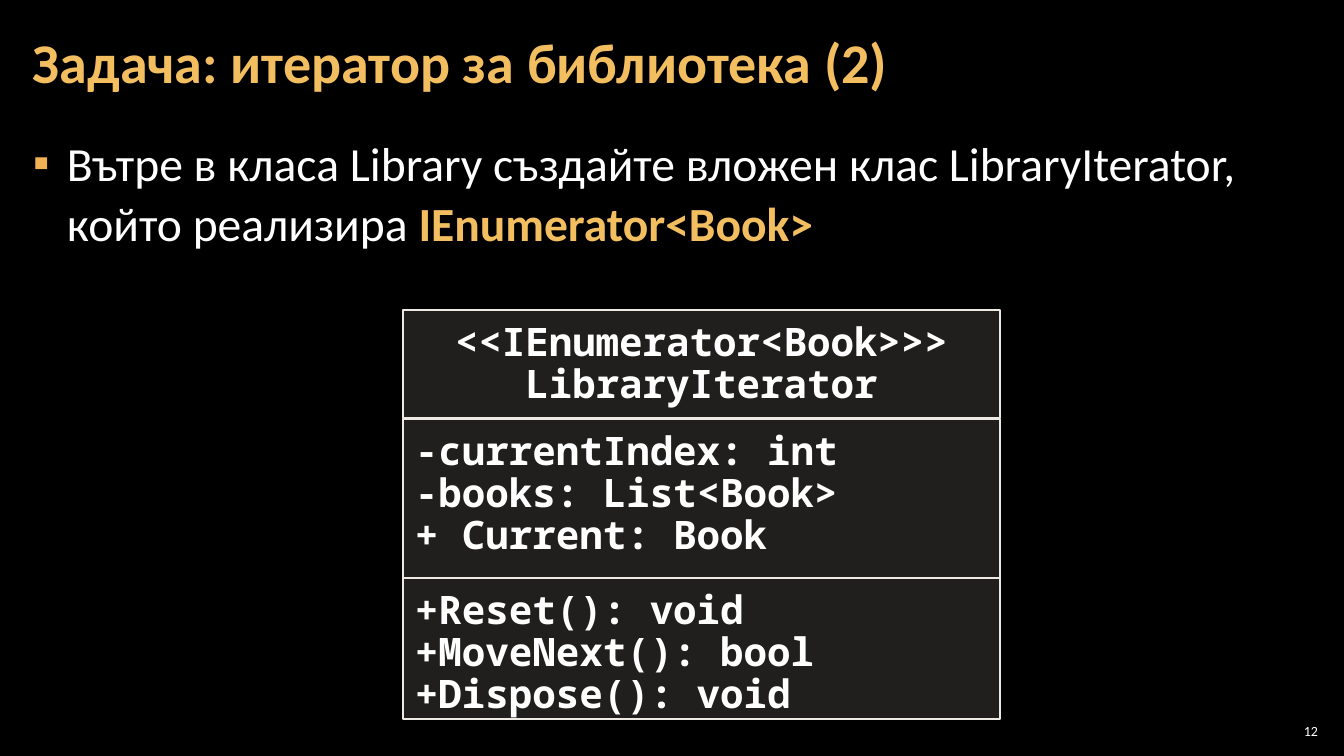
from lxml import etree
from pptx import Presentation
from pptx.dml.color import RGBColor
from pptx.enum.shapes import MSO_SHAPE
from pptx.enum.text import MSO_ANCHOR, MSO_AUTO_SIZE, PP_ALIGN
from pptx.oxml.ns import qn
from pptx.util import Emu, Pt

PX = 914400 / 100.8
BLACK = RGBColor(0x00, 0x00, 0x00)
WHITE = RGBColor(0xFF, 0xFF, 0xFF)
GOLD = RGBColor(0xF3, 0xBE, 0x60)
BULLET_GOLD = RGBColor(0xF2, 0xB2, 0x54)
PANEL = RGBColor(0xD9, 0xD5, 0xC7)
BORDER = RGBColor(0xEC, 0xEA, 0xE3)


def place(shape, left, top, width, height, inset=(12, 4), anchor=MSO_ANCHOR.TOP):
    shape.left, shape.top = Emu(round(left * PX)), Emu(round(top * PX))
    shape.width, shape.height = Emu(round(width * PX)), Emu(round(height * PX))
    frame = shape.text_frame
    frame.auto_size = MSO_AUTO_SIZE.NONE
    frame.word_wrap = True
    frame.vertical_anchor = anchor
    frame.margin_left = frame.margin_right = Emu(round(inset[0] * PX))
    frame.margin_top = frame.margin_bottom = Emu(round(inset[1] * PX))
    return frame


def write(paragraph, text, size, color=WHITE, font="Calibri", bold=False,
          alignment=PP_ALIGN.LEFT, spacing=1.0):
    paragraph.alignment = alignment
    paragraph.line_spacing = spacing
    run = paragraph.add_run()
    run.text = text
    run.font.size = Pt(size)
    run.font.name = font
    run.font.bold = bold
    run.font.color.rgb = color


presentation = Presentation()
presentation.slide_width = Emu(round(1344 * PX))
presentation.slide_height = Emu(round(756 * PX))
slide = presentation.slides.add_slide(presentation.slide_layouts[1])
slide.background.fill.solid()
slide.background.fill.fore_color.rgb = BLACK

title = place(slide.shapes.title, 21, 4, 1055, 122, anchor=MSO_ANCHOR.MIDDLE)
write(title.paragraphs[0], "Задача: итератор за библиотека (2)", 40,
      color=GOLD, bold=True, spacing=0.9)

body = place(slide.placeholders[1], 21, 127, 1301, 614)
task = body.paragraphs[0]
task.space_before = Pt(0)
task.space_after = Pt(6)
properties = task._p.get_or_add_pPr()
properties.set("marL", str(round(34 * PX)))
properties.set("indent", str(round(-34 * PX)))
bullet_color = etree.SubElement(properties, qn("a:buClr"))
etree.SubElement(bullet_color, qn("a:srgbClr"), val=str(BULLET_GOLD))
etree.SubElement(properties, qn("a:buChar"), char="▪")
write(task, "Вътре в класа Library създайте вложен клас LibraryIterator,", 34, spacing=1.05)
task.add_line_break()
write(task, "който реализира ", 34, spacing=1.05)
write(task, "IEnumerator<Book>", 34, color=GOLD, bold=True, spacing=1.05)

compartments = [
    (310, 108, PP_ALIGN.CENTER, ["<<IEnumerator<Book>>>", "LibraryIterator"]),
    (419, 159, PP_ALIGN.LEFT,
     ["-currentIndex: int", "-books: List<Book>", "+ Current: Book"]),
    (578, 141, PP_ALIGN.LEFT,
     ["+Reset(): void", "+MoveNext(): bool", "+Dispose(): void"]),
]
class_diagram = slide.shapes.add_group_shape()
for top, height, alignment, lines in compartments:
    compartment = class_diagram.shapes.add_shape(MSO_SHAPE.RECTANGLE, 0, 0, 0, 0)
    frame = place(compartment, 403, top, 597, height, inset=(12, 12))
    compartment.shadow.inherit = False
    compartment.fill.solid()
    compartment.fill.fore_color.rgb = PANEL
    fill_color = compartment._element.spPr.find(qn("a:solidFill"))[0]
    etree.SubElement(fill_color, qn("a:alpha"), val="15000")
    compartment.line.color.rgb = BORDER
    compartment.line.width = Pt(2)
    for index, line in enumerate(lines):
        paragraph = frame.add_paragraph() if index else frame.paragraphs[0]
        write(paragraph, line, 28, font="Noto Sans Mono", bold=True,
              alignment=alignment, spacing=Pt(30))

number = place(slide.shapes.add_textbox(0, 0, 0, 0), 1275, 720, 47, 21,
               inset=(4, 4), anchor=MSO_ANCHOR.MIDDLE)
write(number.paragraphs[0], "12", 10, alignment=PP_ALIGN.RIGHT)

presentation.save("out.pptx")
